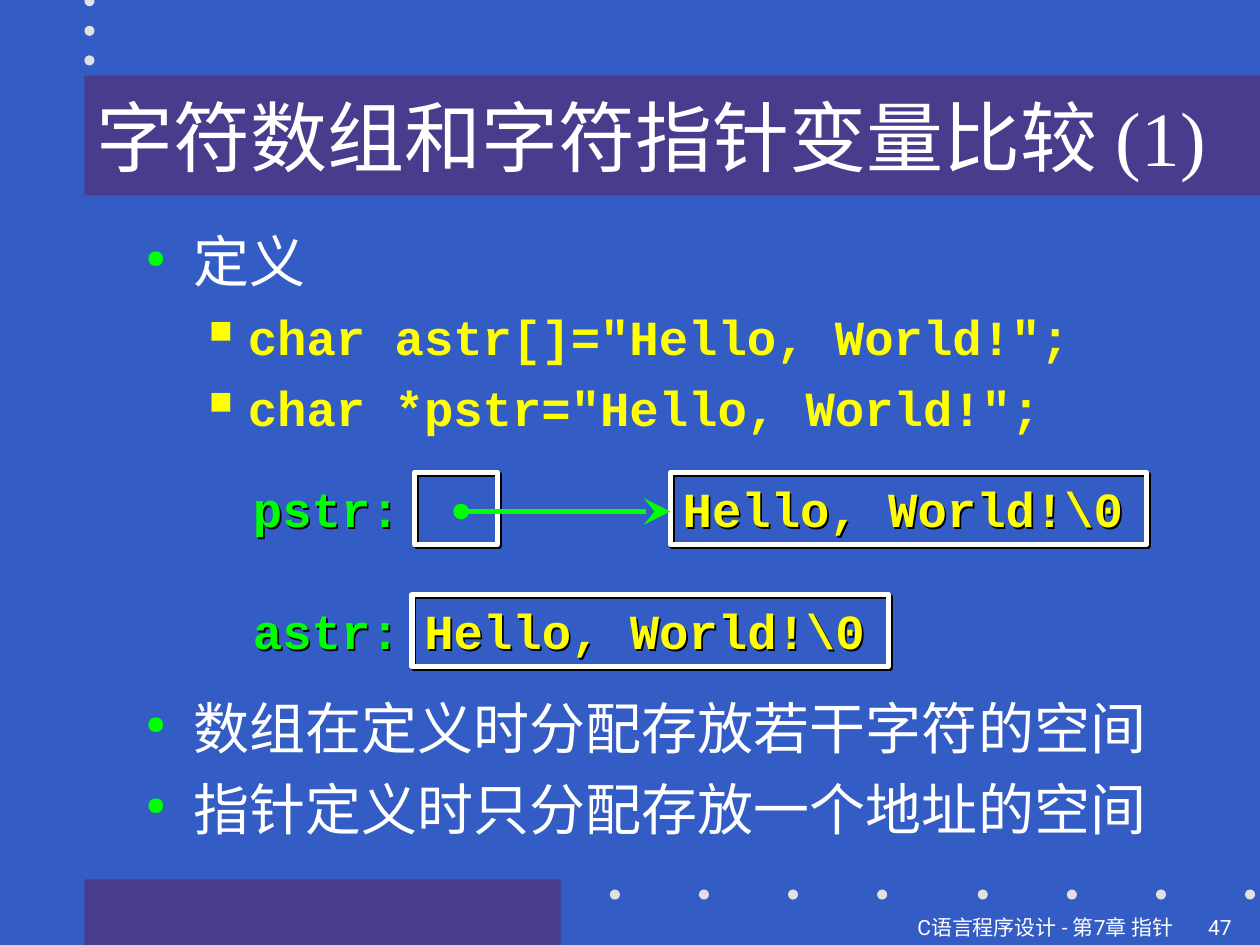
"""Build a slide comparing character arrays with character pointers in C."""
from lxml.etree import SubElement
from pptx import Presentation
from pptx.dml.color import RGBColor
from pptx.enum.shapes import MSO_CONNECTOR, MSO_SHAPE
from pptx.enum.text import MSO_ANCHOR, PP_ALIGN
from pptx.oxml.ns import qn
from pptx.util import Inches, Pt

COLORS = {
    "background": "335CC5", "band": "473D8C", "dot": "E1E1E1", "white": "FFFFFF",
    "code": "FFFF00", "label": "00FF00", "shadow": "000000",
}
STYLES = {
    "title": ("Times New Roman", 44, "white", False),
    "point": ("Times New Roman", 32, "white", False),
    "code": ("Courier New", 28, "code", True),
    "label": ("Courier New", 28, "label", True),
    "footer": ("Roboto", 12, "white", False),
}
BULLETS = {
    "point": ("●", "label", 45, 0.38, 0.38),
    "code": ("■", "code", 66, 0.81, 0.31),
}
TITLE = "字符数组和字符指针变量比较 (1)"
BODY = [
    ("point", "定义", 0),
    ("code", 'char astr[]="Hello, World!";', 7),
    ("code", 'char *pstr="Hello, World!";', 7),
    ("point", "数组在定义时分配存放若干字符的空间", 147),
    ("point", "指针定义时只分配存放一个地址的空间", 8),
]
STORED = "Hello, World!\\0"
ROW_HEIGHT, STRING_WIDTH, LABEL_LEFT, LABEL_WIDTH = 7.6, 37.8, 19.1, 13.6
MEMORY_ROWS = [
    ("pstr:", 50, [(53.2, STRING_WIDTH, STORED), (32.9, 6.6, "")]),
    ("astr:", 62.93, [(32.7, STRING_WIDTH, STORED)]),
]
ARROW = (36.6, 53.2, 54.13)
FOOTERS = [
    ("C语言程序设计 - 第7章 指针", 0, 94.1, PP_ALIGN.RIGHT),
    ("47", 94.9, 5.1, PP_ALIGN.LEFT),
]
BANDS = {"title": (6.7, 8, 93.3, 12.67), "footer": (6.7, 93.07, 37.8, 6.93)}
SIDE_DOTS = [(6.7, -0.4 + 3.13 * step) for step in range(3)]
BOTTOM_DOTS = [(start + 7.07 * step, 94.13) for start in (48.4, 77.6) for step in range(4)]

deck = Presentation()
deck.slide_width, deck.slide_height = Inches(10), Inches(7.5)
slide = deck.slides.add_slide(deck.slide_layouts[6])


def color(name):
    return RGBColor.from_string(COLORS[name])


def across(share):
    return round(deck.slide_width * share / 100)


def down(share):
    return round(deck.slide_height * share / 100)


def place(left, top, width, height):
    return across(left), down(top), across(width), down(height)


def add_text(paragraph, text, style):
    run = paragraph.add_run()
    run.text = text
    font = run.font
    font.name, size, ink, font.bold = STYLES[style]
    font.size = Pt(size)
    font.color.rgb = color(ink)


def add_filled(preset, area, fill):
    shape = slide.shapes.add_shape(preset, *place(*area))
    shape.shadow.inherit = False
    shape.fill.solid()
    shape.fill.fore_color.rgb = color(fill)
    shape.line.fill.background()
    return shape


def add_box(area, wrap=True):
    box = slide.shapes.add_textbox(*place(*area))
    box.text_frame.word_wrap = wrap
    return box


def add_shadow(shape):
    shape.shadow.inherit = False
    effects = shape._element.spPr.find(qn("a:effectLst"))
    shadow = SubElement(effects, qn("a:outerShdw"), blurRad="0", dist=str(Pt(1.4)),
                        dir="2700000", algn="ctr", rotWithShape="0")
    SubElement(shadow, qn("a:srgbClr"), val=COLORS["shadow"])


def add_bullet(paragraph, style):
    mark, ink, size, margin, hang = BULLETS[style]
    properties = paragraph._p.get_or_add_pPr()
    properties.set("marL", str(Inches(margin)))
    properties.set("indent", str(-Inches(hang)))
    tint = SubElement(properties, qn("a:buClr"))
    SubElement(tint, qn("a:srgbClr"), val=COLORS[ink])
    SubElement(properties, qn("a:buSzPct"), val=str(size * 1000))
    SubElement(properties, qn("a:buChar"), char=mark)


def add_memory_cell(area, text):
    cell = slide.shapes.add_shape(MSO_SHAPE.RECTANGLE, *place(*area))
    cell.fill.background()
    cell.line.color.rgb = color("white")
    cell.line.width = Pt(3)
    add_shadow(cell)
    if text:
        cell.text_frame.vertical_anchor = MSO_ANCHOR.TOP
        paragraph = cell.text_frame.paragraphs[0]
        paragraph.alignment = PP_ALIGN.LEFT
        add_text(paragraph, text, "code")


def add_arrow(start, end, height):
    arrow = slide.shapes.add_connector(
        MSO_CONNECTOR.STRAIGHT, across(start), down(height), across(end), down(height))
    arrow.line.color.rgb = color("label")
    arrow.line.width = Pt(3)
    outline = arrow.line._get_or_add_ln()
    SubElement(outline, qn("a:headEnd"), type="oval")
    SubElement(outline, qn("a:tailEnd"), type="stealth", w="lg", len="lg")
    SubElement(arrow._element.spPr, qn("a:effectLst"))


slide.background.fill.solid()
slide.background.fill.fore_color.rgb = color("background")

add_filled(MSO_SHAPE.RECTANGLE, BANDS["footer"], "band")
for left, top in SIDE_DOTS + BOTTOM_DOTS:
    add_filled(MSO_SHAPE.OVAL, (left, top, 0.8, 1.07), "dot")

title = add_filled(MSO_SHAPE.RECTANGLE, BANDS["title"], "band").text_frame
title.vertical_anchor = MSO_ANCHOR.MIDDLE
title.paragraphs[0].alignment = PP_ALIGN.LEFT
add_text(title.paragraphs[0], TITLE, "title")

body = add_box((10.6, 23.33, 84.4, 69.73)).text_frame
for index, (style, text, gap) in enumerate(BODY):
    paragraph = body.add_paragraph() if index else body.paragraphs[0]
    paragraph.level = 1 if style == "code" else 0
    paragraph.space_before = Pt(gap)
    add_bullet(paragraph, style)
    add_text(paragraph, text, style)

for label, top, cells in MEMORY_ROWS:
    for left, width, text in cells:
        add_memory_cell((left, top, width, ROW_HEIGHT), text)
    caption = add_box((LABEL_LEFT, top, LABEL_WIDTH, ROW_HEIGHT))
    caption.text_frame.margin_right = 0
    add_shadow(caption)
    add_text(caption.text_frame.paragraphs[0], label, "label")
add_arrow(*ARROW)

for text, left, width, alignment in FOOTERS:
    paragraph = add_box((left, 96.13, width, 3.73)).text_frame.paragraphs[0]
    paragraph.alignment = alignment
    add_text(paragraph, text, "footer")

deck.save("out.pptx")
